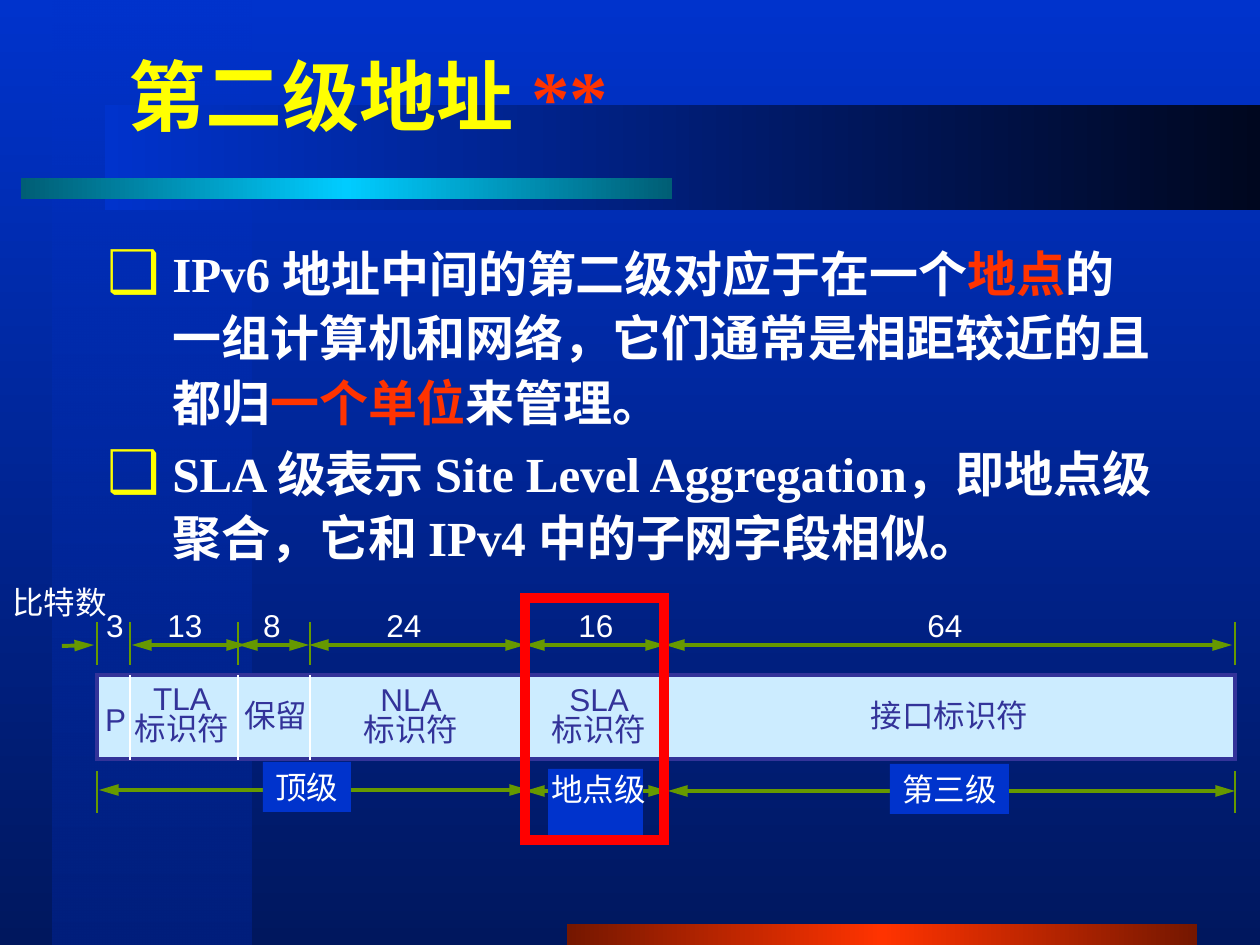
from typing import NamedTuple

from lxml.etree import SubElement
from pptx import Presentation
from pptx.dml.color import RGBColor
from pptx.enum.shapes import MSO_CONNECTOR, MSO_SHAPE
from pptx.enum.text import MSO_ANCHOR, MSO_AUTO_SIZE, PP_ALIGN
from pptx.oxml.ns import qn
from pptx.util import Emu, Pt

EMU_PER_PX = 914400 / 126

WHITE = RGBColor(0xFF, 0xFF, 0xFF)
YELLOW = RGBColor(0xFF, 0xFF, 0x01)
BULLET_YELLOW = RGBColor(0xFF, 0xFF, 0x00)
ORANGE = RGBColor(0xFF, 0x33, 0x00)
RED = RGBColor(0xFF, 0x00, 0x00)
BLUE = RGBColor(0x00, 0x33, 0xCC)
DEEP_BLUE = RGBColor(0x00, 0x1F, 0x7D)
NAVY = RGBColor(0x00, 0x17, 0x5E)
MIDNIGHT = RGBColor(0x00, 0x07, 0x1F)
TEAL = RGBColor(0x00, 0x5E, 0x75)
CYAN = RGBColor(0x00, 0xCC, 0xFF)
MAROON = RGBColor(0x75, 0x17, 0x00)
PALE_BLUE = RGBColor(0xCC, 0xEC, 0xFF)
INDIGO = RGBColor(0x33, 0x33, 0x99)
GREEN = RGBColor(0x66, 0x99, 0x00)


class Box(NamedTuple):
    left: int
    top: int
    width: int
    height: int


class Band(NamedTuple):
    box: Box
    colors: list[RGBColor]
    angle: int
    first_alpha: int = 100


class Label(NamedTuple):
    box: Box
    lines: list[str]
    color: RGBColor = WHITE
    line_spacing: float = 1.0


class Field(NamedTuple):
    bits: str
    bits_center: int
    name: Label


BANDS = [
    Band(Box(53, 0, 199, 945), [BLUE, DEEP_BLUE], 90, 50),
    Band(Box(567, 924, 630, 21), [MAROON, ORANGE, MAROON], 180),
    Band(Box(105, 105, 1155, 105), [MIDNIGHT, BLUE], 180),
    Band(Box(21, 178, 651, 21), [TEAL, CYAN, TEAL], 180),
]

TITLE = [("第二级地址 ", YELLOW), ("**", ORANGE)]
BODY = [
    [("IPv6 地址中间的第二级对应于在一个", WHITE), ("地点", ORANGE),
     ("的一组计算机和网络，它们通常是相距较近的且都归", WHITE),
     ("一个单位", ORANGE), ("来管理。", WHITE)],
    [("SLA 级表示 Site Level Aggregation，即地点级聚合，它和 IPv4 中的子网字段相似。", WHITE)],
]

FIELD_EDGES = [97, 130, 238, 310, 525, 668, 1235]
FIELDS = [
    Field("3", 115, Label(Box(92, 694, 47, 50), ["P"], INDIGO)),
    Field("13", 185, Label(Box(122, 680, 120, 73), ["TLA", "标识符"], INDIGO, 0.8)),
    Field("8", 272, Label(Box(232, 690, 88, 50), ["保留"], INDIGO)),
    Field("24", 404, Label(Box(351, 681, 120, 73), ["NLA", "标识符"], INDIGO, 0.8)),
    Field("16", 596, Label(Box(539, 681, 120, 73), ["SLA", "标识符"], INDIGO, 0.8)),
    Field("64", 945, Label(Box(858, 690, 183, 50), ["接口标识符"], INDIGO)),
]
BITS_SPANS = [(132, 246), (238, 309), (309, 525), (525, 665), (665, 1232)]
LEVEL_EDGES = [97, 523, 665, 1235]
LEVEL_SPANS = [(99, 529, 790), (525, 668, 791), (668, 1235, 791)]
LEVEL_PLATES = [Box(263, 762, 88, 50), Box(890, 764, 119, 50), Box(548, 769, 95, 70)]
LEVEL_LABELS = [
    Label(Box(263, 762, 88, 50), ["顶级"]),
    Label(Box(890, 764, 119, 50), ["第三级"]),
    Label(Box(539, 764, 119, 50), ["地点级"]),
]


def px(value: float) -> Emu:
    return Emu(round(value * EMU_PER_PX))


def set_gradient(fill, owner, colors: list[RGBColor], angle: int, first_alpha: int = 100) -> None:
    """Spread the colours evenly; angle runs clockwise, owner is the element holding the fill."""
    fill.gradient()
    fill.gradient_angle = 360 - angle
    stops = owner.find(".//" + qn("a:gsLst"))
    for stop in list(stops):
        stops.remove(stop)
    for index, color in enumerate(colors):
        position = str(100000 * index // (len(colors) - 1))
        stop = SubElement(stops, qn("a:gs"), pos=position)
        srgb = SubElement(stop, qn("a:srgbClr"), val=str(color))
        if index == 0 and first_alpha < 100:
            SubElement(srgb, qn("a:alpha"), val=str(first_alpha * 1000))


def add_rect(slide, box: Box, fill: RGBColor | None = None,
             line: RGBColor | None = None, line_width: float = 1):
    rect = slide.shapes.add_shape(MSO_SHAPE.RECTANGLE, *map(px, box))
    rect.shadow.inherit = False
    if fill is None:
        rect.fill.background()
    else:
        rect.fill.solid()
        rect.fill.fore_color.rgb = fill
    if line is None:
        rect.line.fill.background()
    else:
        rect.line.color.rgb = line
        rect.line.width = Pt(line_width)
        SubElement(rect._element.spPr.find(qn("a:ln")), qn("a:miter"), lim="800000")
    return rect


def add_line(slide, start: tuple[int, int], end: tuple[int, int], color: RGBColor,
             width: float = 1, arrows: tuple[str, ...] = ()) -> None:
    """arrows lists the arrowed ends: headEnd at start, tailEnd at end."""
    line = slide.shapes.add_connector(MSO_CONNECTOR.STRAIGHT, *map(px, start + end))
    line.line.color.rgb = color
    line.line.width = Pt(width)
    properties = line._element.spPr
    for arrow in arrows:
        SubElement(properties.find(qn("a:ln")), qn(f"a:{arrow}"),
                   type="triangle", w="med", len="lg")
    SubElement(properties, qn("a:effectLst"))


def add_ticks(slide, xs: list[int], top: int, bottom: int, color: RGBColor) -> None:
    for x in xs:
        add_line(slide, (x, top), (x, bottom), color)


def add_span(slide, left: int, right: int, y: int) -> None:
    add_line(slide, (left, y), (right, y), GREEN, 2.25, ("headEnd", "tailEnd"))


def add_label(slide, label: Label) -> None:
    frame = slide.shapes.add_textbox(*map(px, label.box)).text_frame
    frame.word_wrap = False
    frame.auto_size = MSO_AUTO_SIZE.SHAPE_TO_FIT_TEXT
    frame.margin_left = frame.margin_right = 0
    frame.text = "\n".join(label.lines)
    for paragraph in frame.paragraphs:
        paragraph.alignment = PP_ALIGN.CENTER
        paragraph.line_spacing = label.line_spacing
        paragraph.font.name = "Arial"
        paragraph.font.size = Pt(18)
        paragraph.font.color.rgb = label.color


def add_bullet(paragraph) -> None:
    properties = paragraph._p.get_or_add_pPr()
    properties.set("marL", str(px(65)))
    properties.set("indent", str(-px(65)))
    color = SubElement(properties, qn("a:buClr"))
    SubElement(color, qn("a:srgbClr"), val=str(BULLET_YELLOW))
    SubElement(properties, qn("a:buSzPct"), val="120000")
    SubElement(properties, qn("a:buFont"), typeface="Arial")
    SubElement(properties, qn("a:buChar"), char="❑")


def fill_runs(paragraph, runs: list[tuple[str, RGBColor]], size: int) -> None:
    paragraph.font.name = "Times New Roman"
    paragraph.font.size = Pt(size)
    paragraph.font.bold = True
    for text, color in runs:
        run = paragraph.add_run()
        run.text = text
        run.font.color.rgb = color


def add_title_and_body(slide) -> None:
    title = slide.shapes.add_textbox(*map(px, Box(116, 32, 1071, 126))).text_frame
    title.word_wrap = True
    title.vertical_anchor = MSO_ANCHOR.MIDDLE
    fill_runs(title.paragraphs[0], TITLE, 44)

    body = slide.shapes.add_textbox(*map(px, Box(95, 231, 1071, 345))).text_frame
    body.word_wrap = True
    for index, runs in enumerate(BODY):
        paragraph = body.add_paragraph() if index else body.paragraphs[0]
        add_bullet(paragraph)
        paragraph.line_spacing = 1.1
        if index:
            paragraph.space_before = Pt(3.5)
        fill_runs(paragraph, runs, 28)


def add_address_diagram(slide) -> None:
    add_rect(slide, Box(97, 675, 1138, 84), PALE_BLUE, INDIGO, 2)
    add_ticks(slide, FIELD_EDGES[1:-1], 675, 760, WHITE)
    add_ticks(slide, FIELD_EDGES, 622, 665, GREEN)
    for field in FIELDS:
        add_label(slide, Label(Box(field.bits_center - 30, 600, 60, 50), [field.bits]))
        add_label(slide, field.name)
    add_label(slide, Label(Box(0, 577, 119, 50), ["比特数"]))
    add_line(slide, (62, 646), (94, 645), GREEN, 2.25, ("tailEnd",))
    for left, right in BITS_SPANS:
        add_span(slide, left, right, 645)

    for left, right, y in LEVEL_SPANS:
        add_span(slide, left, right, y)
    for plate in LEVEL_PLATES:
        add_rect(slide, plate, BLUE)
    for label in LEVEL_LABELS:
        add_label(slide, label)
    add_ticks(slide, LEVEL_EDGES, 771, 813, GREEN)
    add_rect(slide, Box(525, 598, 139, 242), line=RED, line_width=6)


def main() -> None:
    deck = Presentation()
    deck.slide_width, deck.slide_height = px(1260), px(945)
    slide = deck.slides.add_slide(deck.slide_layouts[6])
    set_gradient(slide.background.fill, slide._element, [BLUE, NAVY], 90)
    for band in BANDS:
        rect = add_rect(slide, band.box)
        set_gradient(rect.fill, rect._element.spPr, band.colors, band.angle, band.first_alpha)
    add_title_and_body(slide)
    add_address_diagram(slide)
    deck.save("out.pptx")


if __name__ == "__main__":
    main()
